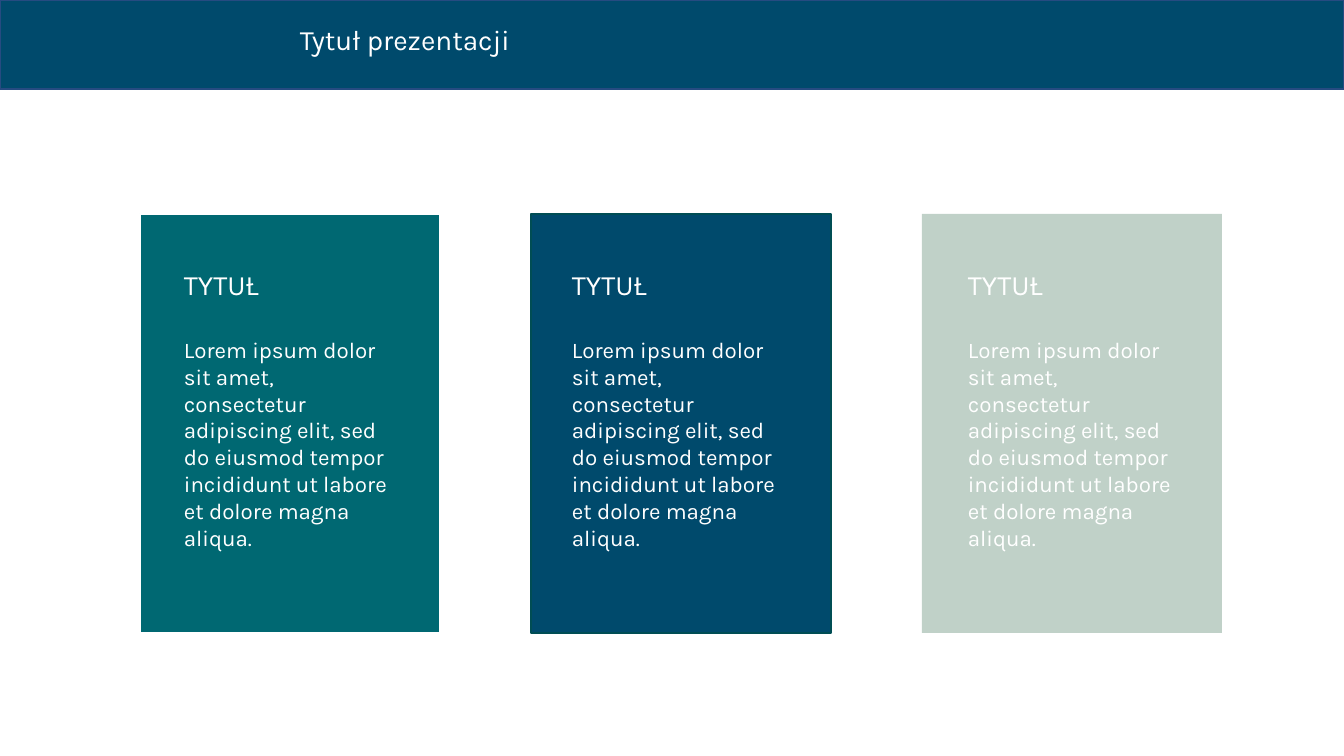
from pptx import Presentation
from pptx.dml.color import RGBColor
from pptx.enum.shapes import MSO_SHAPE as Shape
from pptx.enum.text import MSO_AUTO_SIZE as AutoSize
from pptx.util import Pt

# Content
HEADER = "Tytuł prezentacji"
CARD_TITLE = "TYTUŁ"
CARD_BODY = ("Lorem ipsum dolor sit amet, consectetur adipiscing elit, sed do "
             "eiusmod tempor incididunt ut labore et dolore magna aliqua.")
# fill, outline, outline width in points, left edge of the text in px
CARDS = [
    ("teal", "white", 1.5, 174),
    ("navy", "dark teal", 1, 562),
    ("sage", None, 0, 958),
]
COLORS = {
    "white": "FFFFFF",
    "teal": "006872",
    "navy": "004A6C",
    "sage": "C0D1C8",
    "dark teal": "004D54",
    "blue": "264B81",
}
FONT = "Karla"

# Layout in px
EMU_PER_PX = 914400 / 100.8
SLIDE_WIDTH, SLIDE_HEIGHT = 1344, 756
HEADER_HEIGHT = 89
CARD_LEFT, CARD_TOP, CARD_PITCH = 140, 214, 391
CARD_WIDTH, CARD_HEIGHT = 300, 419
TITLE_TOP, BODY_TOP = 263, 331


def px(*lengths):
    return [round(length * EMU_PER_PX) for length in lengths]


def color(name):
    return RGBColor.from_string(COLORS[name])


def add_rectangle(slide, box, fill, outline, outline_width):
    shape = slide.shapes.add_shape(Shape.RECTANGLE, *px(*box))
    shape.shadow.inherit = False
    shape.fill.solid()
    shape.fill.fore_color.rgb = color(fill)
    if outline:
        shape.line.color.rgb = color(outline)
        shape.line.width = Pt(outline_width)
    else:
        shape.line.fill.background()


def add_text(slide, box, text, size):
    text_frame = slide.shapes.add_textbox(*px(*box)).text_frame
    text_frame.word_wrap = True
    text_frame.auto_size = AutoSize.SHAPE_TO_FIT_TEXT
    text_frame.text = text
    font = text_frame.paragraphs[0].runs[0].font
    font.name = FONT
    font.size = Pt(size)
    font.color.rgb = color("white")


def main():
    presentation = Presentation()
    presentation.slide_width, presentation.slide_height = px(SLIDE_WIDTH, SLIDE_HEIGHT)
    slide = presentation.slides.add_slide(presentation.slide_layouts[6])

    # Cards
    for index, (fill, outline, outline_width, text_left) in enumerate(CARDS):
        card_left = CARD_LEFT + index * CARD_PITCH
        add_rectangle(slide, (card_left, CARD_TOP, CARD_WIDTH, CARD_HEIGHT),
                      fill, outline, outline_width)
        add_text(slide, (text_left, TITLE_TOP, 197, 44), CARD_TITLE, 20)
        add_text(slide, (text_left, BODY_TOP, 230, 225), CARD_BODY, 16)

    # Header band
    add_rectangle(slide, (0, 0, SLIDE_WIDTH, HEADER_HEIGHT), "navy", "blue", 1)
    add_text(slide, (290, 18, 628, 44), HEADER, 20)

    presentation.save("out.pptx")


if __name__ == "__main__":
    main()
